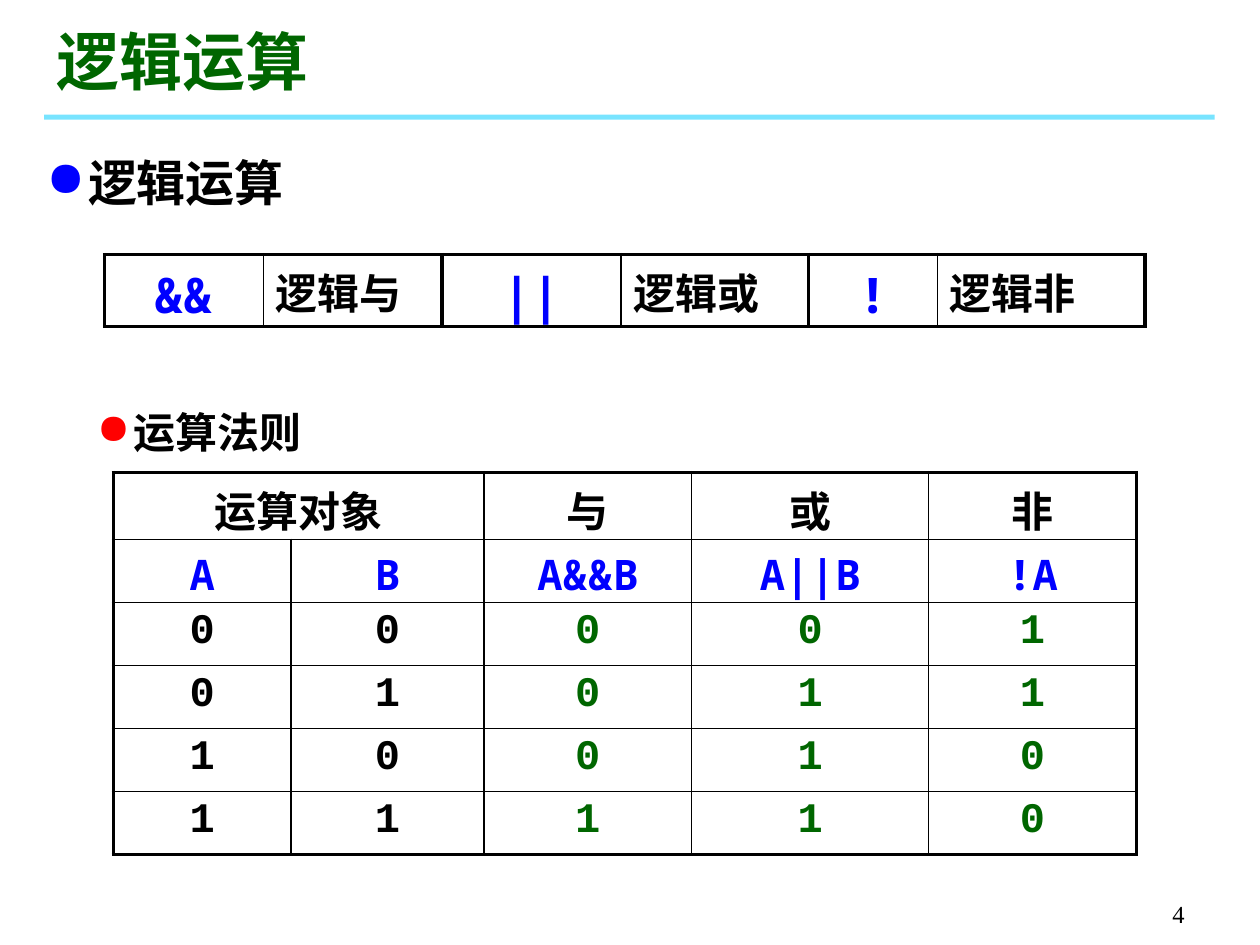
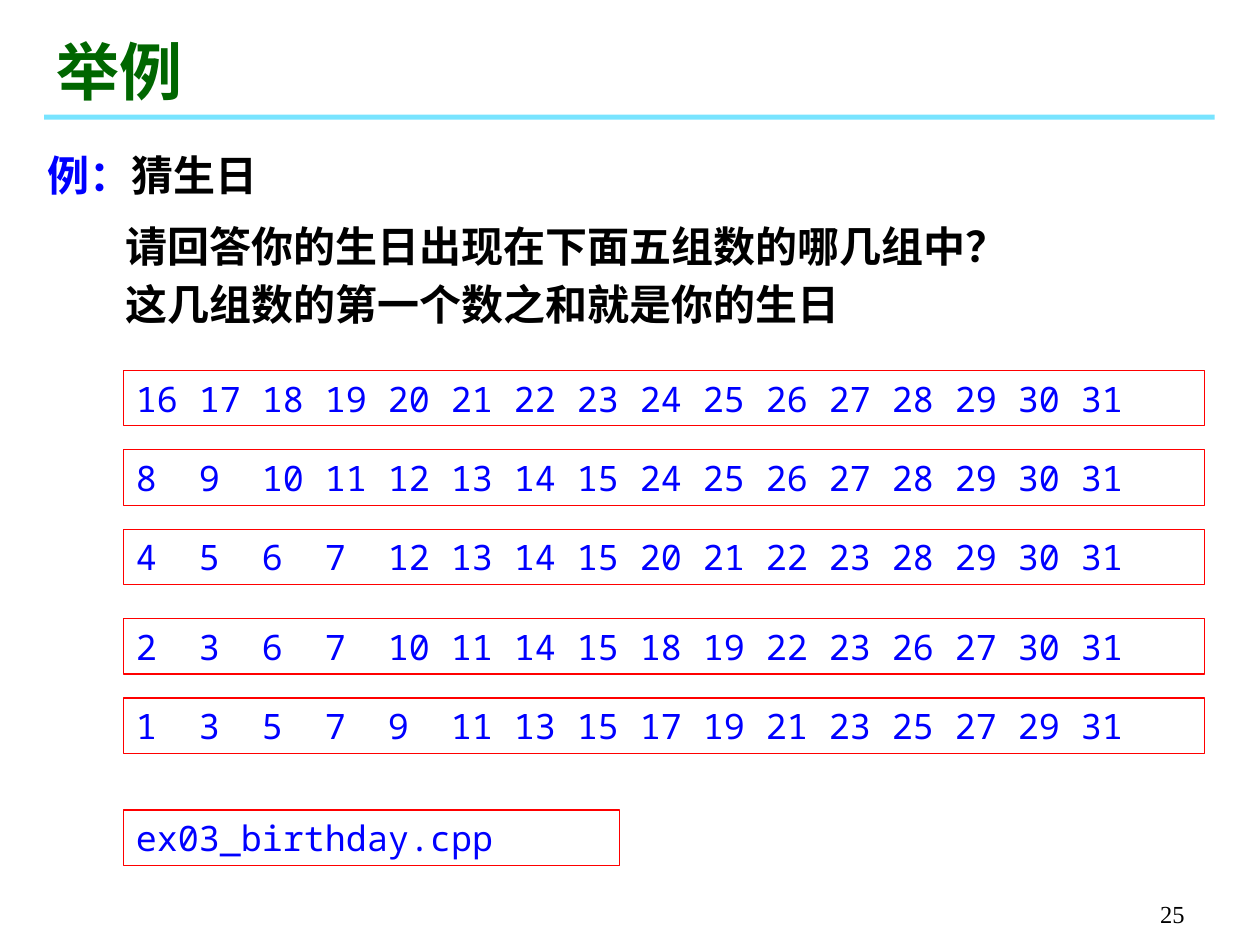
from pptx import Presentation
from pptx.dml.color import RGBColor
from pptx.enum.shapes import MSO_SHAPE as SHAPE
from pptx.enum.text import MSO_ANCHOR as ANCHOR, PP_ALIGN as ALIGN
from pptx.oxml import parse_xml
from pptx.oxml.ns import nsdecls, qn
from pptx.util import Emu, Pt
from lxml.etree import SubElement

PX = 9144
COLORS = {"text": "000000", "title": "006600", "code": "0000FF", "accent": "FF0000",
          "band": "00CCFF", "paper": "FFFFFF"}
SERIF, SANS, MONO, COURIER = "Times New Roman", "Arial", "Noto Sans Mono", "Courier New"
THICK, THIN = 2.25, 1


def px(n):
    """Turn a length in px into EMU."""
    return Emu(n * PX)


def rgb(name):
    """Look up a colour by its role."""
    return RGBColor.from_string(COLORS[name])


class Deck:
    """Holds the shared style and the current slide."""

    def __init__(self):
        self.prs = Presentation()
        self.prs.slide_width, self.prs.slide_height = px(1000), px(750)
        self.s = None

    def slide(self, title, number, top, width):
        """Start a slide with its band, page number and title."""
        self.s = self.prs.slides.add_slide(self.prs.slide_layouts[6])
        band = self.rect(35, 91, 929, 4, fill="band")
        color = band.fill._xPr.find(qn("a:solidFill"))[0]
        SubElement(color, qn("a:alpha"), val="53000")
        p = self.text(742, 692, 208, 50, ANCHOR.BOTTOM)
        p.alignment = ALIGN.RIGHT
        self.run(p, str(number), 14, bold=False)
        p = self.text(35, top, width, 70, ANCHOR.BOTTOM)
        self.run(p, title, 36, color="title")

    def run(self, p, text, size, font=SERIF, color="text", bold=True):
        """Add one styled run to a paragraph."""
        r = p.add_run()
        r.text = text
        r.font.size, r.font.name, r.font.bold = Pt(size), font, bold
        r.font.color.rgb = rgb(color)

    def text(self, left, top, width, height, anchor=ANCHOR.TOP):
        """Add a text box and return its first paragraph."""
        tf = self.s.shapes.add_textbox(px(left), px(top), px(width), px(height)).text_frame
        tf.word_wrap, tf.vertical_anchor = True, anchor
        return tf.paragraphs[0]

    def bullet(self, left, top, height, text, size, indent, spacing, color):
        """Add a heading with a coloured round bullet."""
        p = self.text(left, top, 622, height)
        p.line_spacing = spacing
        pPr = p._p.get_or_add_pPr()
        pPr.set("marL", str(px(indent)))
        pPr.set("indent", str(-px(indent)))
        SubElement(SubElement(pPr, qn("a:buClr")), qn("a:srgbClr"), val=COLORS[color])
        SubElement(pPr, qn("a:buChar"), char="●")
        self.run(p, text, size)

    def rect(self, left, top, width, height, fill=None, line=None):
        """Add a plain rectangle."""
        sp = self.s.shapes.add_shape(SHAPE.RECTANGLE, px(left), px(top), px(width), px(height))
        sp.shadow.inherit = False
        if fill:
            sp.fill.solid()
            sp.fill.fore_color.rgb = rgb(fill)
        else:
            sp.fill.background()
        if line:
            sp.line.color.rgb = rgb(line)
            sp.line.width = Pt(0.75)
        else:
            sp.line.fill.background()
        return sp

    def code_box(self, top, width, text, fill=None, tab=None):
        """Add a red-framed line of code text, with even tab stops if asked."""
        sp = self.rect(98, top, width, 44, fill, "accent")
        sp.text_frame.vertical_anchor = ANCHOR.MIDDLE
        p = sp.text_frame.paragraphs[0]
        p.alignment = ALIGN.LEFT
        if tab:
            tabs = SubElement(p._p.get_or_add_pPr(), qn("a:tabLst"))
            for i in range(1, text.count("\t") + 1):
                SubElement(tabs, qn("a:tab"), pos=str(px(i * tab)), algn="l")
        self.run(p, text, 20, MONO, "code", False)

    def table(self, left, top, cols, rows, cells, rules):
        """Add a ruled table; a cell is (text, size, font, colour, alignment) or None."""
        frame = self.s.shapes.add_table(len(rows), len(cols), px(left), px(top),
                                        px(sum(cols)), px(sum(rows)))
        tbl = frame.table
        tbl.first_row = tbl.horz_banding = False
        for column, width in zip(tbl.columns, cols):
            column.width = px(width)
        levels = [THICK] + [THIN] * (len(rows) - 1) + [THICK]
        for i, height in enumerate(rows):
            tbl.rows[i].height = px(height)
            for j, content in enumerate(cells[i]):
                cell = tbl.cell(i, j)
                cell.margin_bottom = 0
                self.borders(cell, rules[j], rules[j + 1], levels[i], levels[i + 1])
                cell.fill.background()
                if content:
                    text, size, font, color, align = content
                    p = cell.text_frame.paragraphs[0]
                    p.alignment = align
                    self.run(p, text, size, font, color)
        return tbl

    def borders(self, cell, *widths):
        """Draw the left, right, top and bottom borders of a cell."""
        tcPr = cell._tc.get_or_add_tcPr()
        for side, width in zip("LRTB", widths):
            tcPr.append(parse_xml(
                f'<a:ln{side} {nsdecls("a")} w="{Pt(width)}"><a:solidFill>'
                f'<a:srgbClr val="{COLORS["text"]}"/></a:solidFill></a:ln{side}>'))


def logic_slide(deck):
    """Build the slide on logical operators and their truth table."""
    deck.slide("逻辑运算", 4, 13, 536)
    deck.bullet(27, 107, 66, "逻辑运算", 28, 33, 1.2, "code")
    operators = []
    for symbol, name in (("&&", "逻辑与"), ("||", "逻辑或"), ("!", "逻辑非")):
        operators += [(symbol, 28, MONO, "code", ALIGN.CENTER),
                      (name, 24, MONO, "text", ALIGN.LEFT)]
    deck.table(83, 202, [126, 142, 142, 149, 102, 165], [57], [operators],
               [THICK, THIN] * 3 + [THICK])

    heads = ["运算对象", None, "与", "或", "非"]
    cells = [[h and (h, 24, MONO, "text", ALIGN.CENTER) for h in heads],
             [(e, 24, MONO, "code", ALIGN.CENTER) for e in ("A", "B", "A&&B", "A||B", "!A")]]
    for a in (0, 1):
        for b in (0, 1):
            values = (a, b, a & b, a | b, 1 - a)
            cells.append([(str(v), 24, COURIER, "text" if j < 2 else "title", ALIGN.CENTER)
                          for j, v in enumerate(values)])
    tbl = deck.table(90, 375, [141, 153, 165, 188, 165], [53] + [50] * 5, cells,
                     [THICK] + [THIN] * 4 + [THICK])
    tbl.cell(0, 0).merge(tbl.cell(0, 1))
    deck.bullet(67, 298, 63, "运算法则", 24, 29, 1.5, "accent")


def birthday_slide(deck):
    """Build the slide with the birthday guessing example."""
    deck.slide("举例", 25, 21, 717)
    p = deck.text(28, 114, 724, 50)
    deck.run(p, "例：", 24, SANS, "code")
    deck.run(p, "猜生日", 24, SANS)
    p = deck.text(90, 164, 756, 102)
    tf = p._parent
    for i, line in enumerate(("请回答你的生日出现在下面五组数的哪几组中？",
                              "这几组数的第一个数之和就是你的生日")):
        p = tf.add_paragraph() if i else p
        p.line_spacing = 1.15
        deck.run(p, line, 24, SANS)
    for bit, top in zip((16, 8, 4, 2, 1), (294, 357, 420, 491, 554)):
        days = "\t".join(str(day) for day in range(1, 32) if day & bit)
        deck.code_box(top, 858, days, "paper", 50)
    deck.code_box(643, 394, "ex03_birthday.cpp")


def main():
    """Build and save the deck."""
    deck = Deck()
    logic_slide(deck)
    birthday_slide(deck)
    deck.prs.save("out.pptx")


if __name__ == "__main__":
    main()
